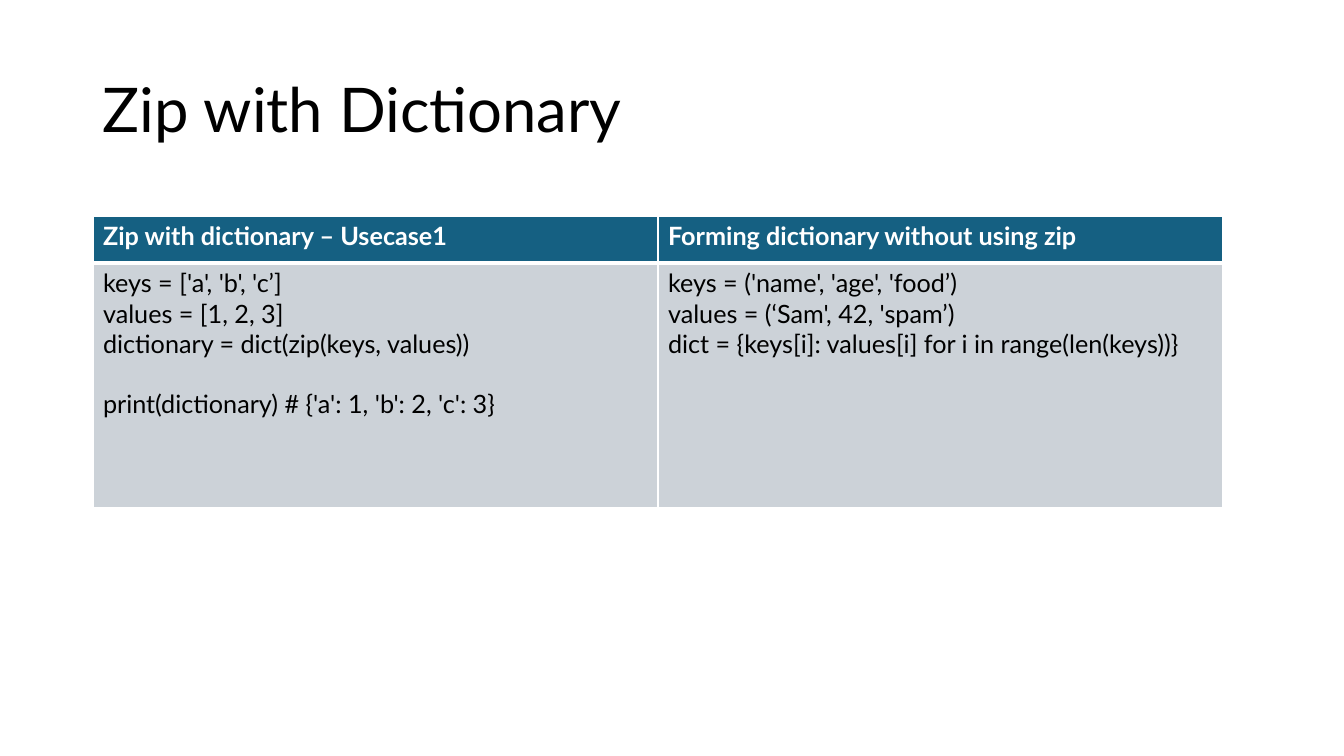
import pptx
import pptx.dml.color
import pptx.enum.text
import pptx.oxml
import pptx.oxml.ns
import pptx.util

TITLE = "Zip with Dictionary"
# One entry per column: heading, then blocks of code lines
COLUMNS = [
    ("Zip with dictionary – Usecase1", [
        ["keys = ['a', 'b', 'c’]",
         "values = [1, 2, 3]",
         "dictionary = dict(zip(keys, values))"],
        ["print(dictionary) # {'a': 1, 'b': 2, 'c': 3}"],
    ]),
    ("Forming dictionary without using zip", [
        ["keys = ('name', 'age', 'food’)",
         "values = (‘Sam', 42, 'spam’)",
         "dict = {keys[i]: values[i] for i in range(len(keys))}"],
    ]),
]

THEME = {
    "font": "Lato",
    "title_size": 44,
    "table_size": 18,
    "block_gap": 21.6,
    "text": "000000",
    "header_text": "FFFFFF",
    "header_fill": "156082",
    "body_fill": "CCD2D8",
    "border": "FFFFFF",
    "thin": 1,
    "thick": 3,
}

SLIDE_SIZE = (1344, 756)
TITLE_BOX = (93, 40, 1159, 146)
TABLE_LEFT, TABLE_TOP = 93, 216
COLUMN_WIDTH = 565
ROW_HEIGHTS = [47, 245]
EMU_PER_PX = 914400 / 100.8


def px(length):
    return pptx.util.Emu(round(length * EMU_PER_PX))


def rgb(name):
    return pptx.dml.color.RGBColor.from_string(THEME[name])


def style_paragraph(paragraph, size, color, bold=False):
    font = paragraph.font
    font.name = THEME["font"]
    font.size = pptx.util.Pt(THEME[size])
    font.color.rgb = rgb(color)
    font.bold = bold


def set_borders(cell, **weights):
    """Draw the cell's edges; weights are keyed L, R, T, B in schema order."""
    properties = cell._tc.get_or_add_tcPr()
    for index, (side, weight) in enumerate(weights.items()):
        line = pptx.oxml.parse_xml(
            f'<a:ln{side} {pptx.oxml.ns.nsdecls("a")} w="{pptx.util.Pt(THEME[weight])}">'
            f'<a:solidFill><a:srgbClr val="{THEME["border"]}"/></a:solidFill></a:ln{side}>')
        properties.insert(index, line)


def fill_cell(cell, blocks, fill, color, bold):
    cell.fill.solid()
    cell.fill.fore_color.rgb = rgb(fill)
    frame = cell.text_frame
    frame.text = "\n".join(line for block in blocks for line in block)
    for paragraph in frame.paragraphs:
        style_paragraph(paragraph, "table_size", color, bold)
    start = 0
    for block in blocks[:-1]:
        start += len(block)
        frame.paragraphs[start].space_before = pptx.util.Pt(THEME["block_gap"])


def add_title(slide):
    frame = slide.shapes.add_textbox(*map(px, TITLE_BOX)).text_frame
    frame.word_wrap = True
    frame.vertical_anchor = pptx.enum.text.MSO_ANCHOR.MIDDLE
    frame.text = TITLE
    paragraph = frame.paragraphs[0]
    paragraph.line_spacing = 0.9
    style_paragraph(paragraph, "title_size", "text")


def add_comparison_table(slide):
    table = slide.shapes.add_table(
        len(ROW_HEIGHTS), len(COLUMNS), px(TABLE_LEFT), px(TABLE_TOP),
        px(COLUMN_WIDTH * len(COLUMNS)), px(sum(ROW_HEIGHTS))).table
    for row, height in zip(table.rows, ROW_HEIGHTS):
        row.height = px(height)
    for index, (heading, blocks) in enumerate(COLUMNS):
        table.columns[index].width = px(COLUMN_WIDTH)
        header, body = table.cell(0, index), table.cell(1, index)
        fill_cell(header, [[heading]], "header_fill", "header_text", True)
        fill_cell(body, blocks, "body_fill", "text", False)
        set_borders(header, L="thin", R="thin", T="thin", B="thick")
        set_borders(body, L="thin", R="thin", T="thick", B="thin")


def main():
    presentation = pptx.Presentation()
    presentation.slide_width, presentation.slide_height = map(px, SLIDE_SIZE)
    slide = presentation.slides.add_slide(presentation.slide_layouts[6])
    add_title(slide)
    add_comparison_table(slide)
    presentation.save("out.pptx")


if __name__ == "__main__":
    main()
